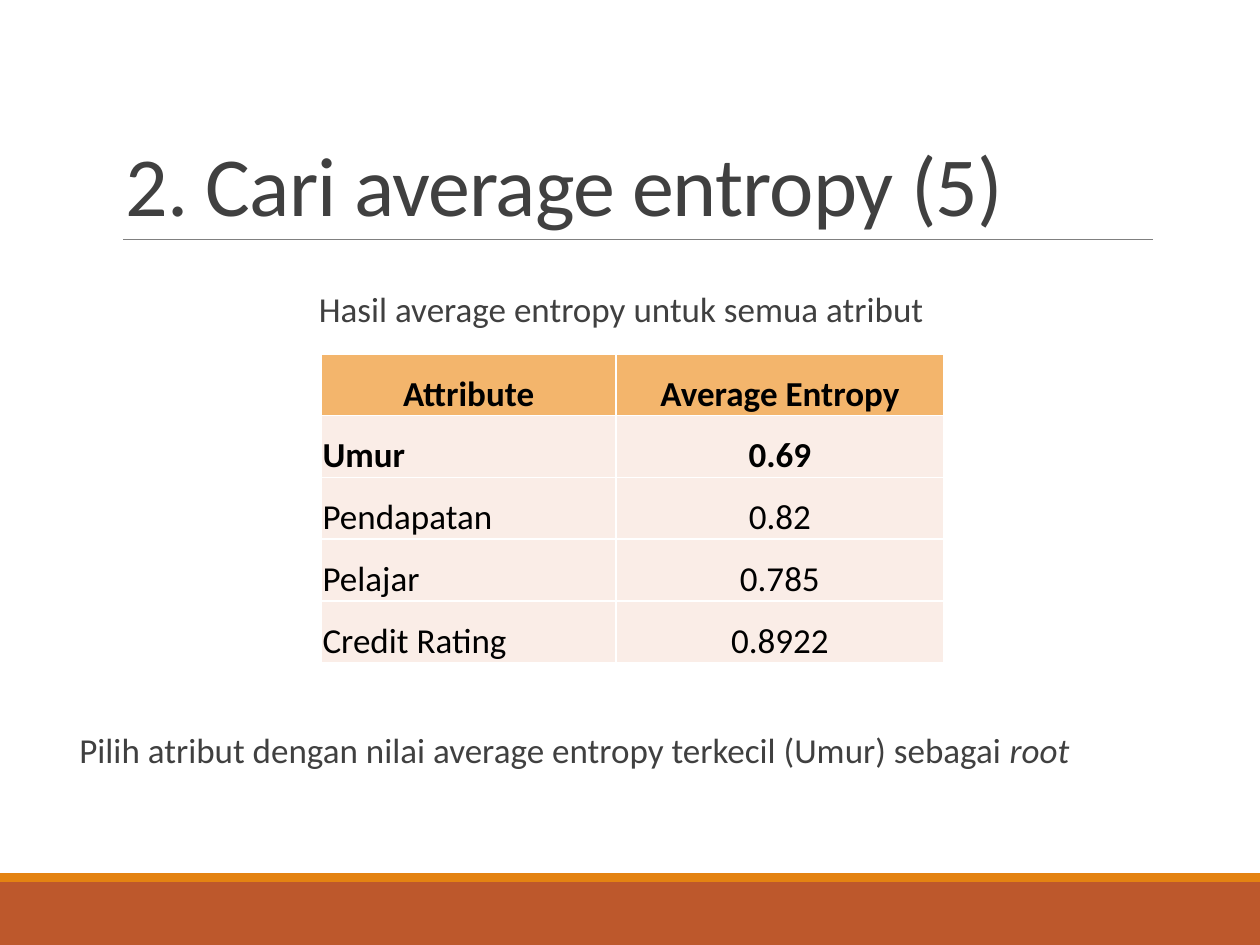
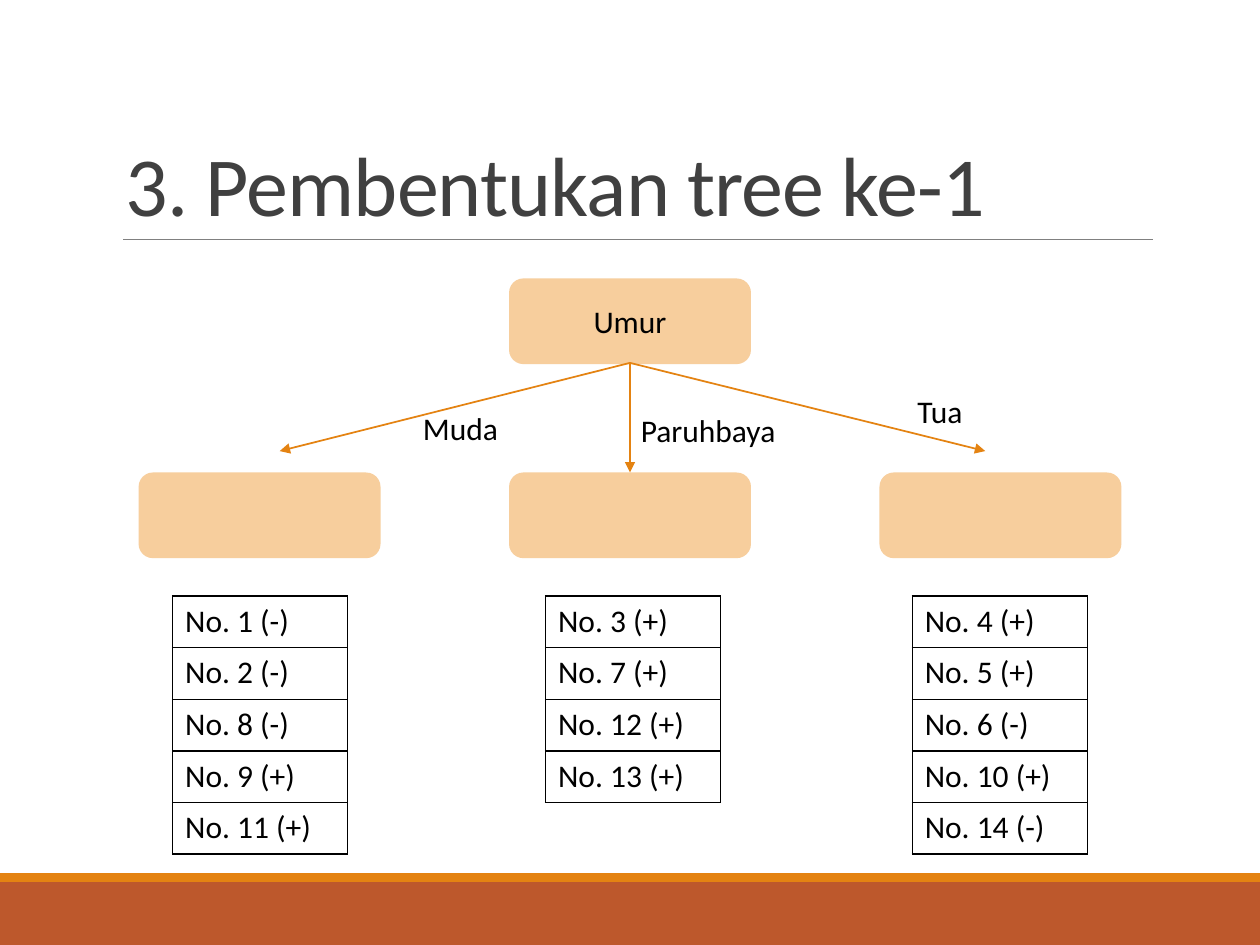
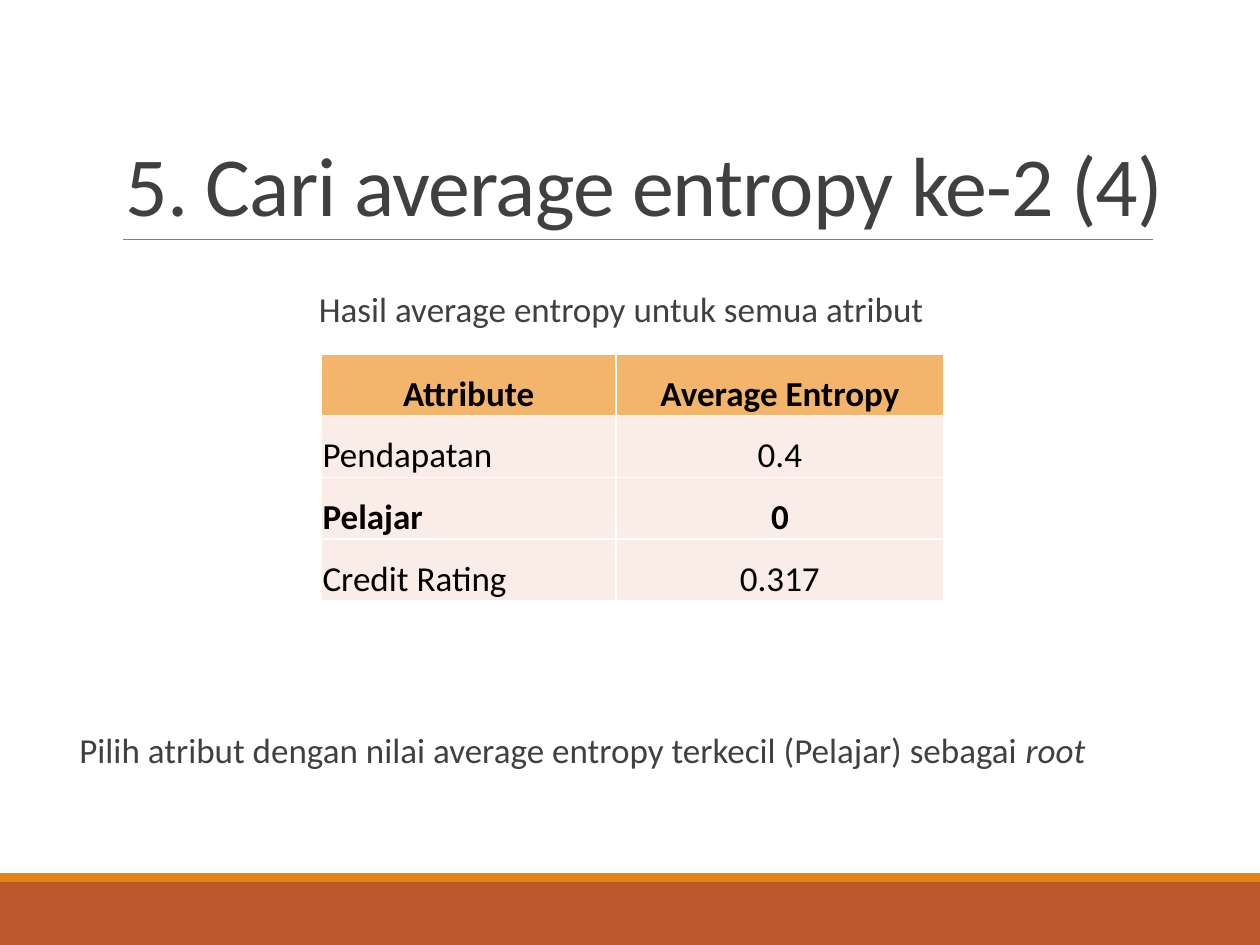
from lxml.etree import SubElement
from pptx import Presentation
from pptx.dml.color import RGBColor
from pptx.enum.shapes import MSO_CONNECTOR, MSO_SHAPE
from pptx.enum.text import MSO_ANCHOR as ANCHOR, PP_ALIGN as ALIGN
from pptx.oxml.ns import qn
from pptx.util import Inches, Pt

FONT = "Calibri"
WHITE = RGBColor(0xFF, 0xFF, 0xFF)
BLACK = RGBColor(0x00, 0x00, 0x00)
GRAY = RGBColor(0x40, 0x40, 0x40)
RULE = RGBColor(0x80, 0x80, 0x80)
RUST = RGBColor(0xBD, 0x58, 0x2C)
ORANGE = RGBColor(0xE4, 0x83, 0x12)
HEADER = RGBColor(0xF3, 0xB5, 0x6C)
ROW = RGBColor(0xFA, 0xED, 0xE7)
NODE = RGBColor(0xF7, 0xCE, 0x9D)

TITLE = {"size": Pt(48), "color": GRAY}
BODY = {"size": Pt(20), "color": GRAY}
CELL = {"size": Pt(20), "color": BLACK}
LABEL = {"size": Pt(18), "color": BLACK}
BODY_SPACING = {"line_spacing": 0.9, "space_before": Pt(12), "space_after": Pt(2)}
BODY_INSETS = {"margin_left": 0, "margin_right": 0}
CELL_INSETS = {"margin_left": Inches(0.01), "margin_right": Inches(0.01),
               "margin_top": Inches(0.01), "margin_bottom": 0}

CAPTION = "Hasil average entropy untuk semua atribut"
COLUMNS = ("Attribute", "Average Entropy")
ENTROPY_1 = {
    "title": "2. Cari average entropy (5)",
    "rows": [("Umur", "0.69"), ("Pendapatan", "0.82"),
             ("Pelajar", "0.785"), ("Credit Rating", "0.8922")],
    "root": "Umur",
}
ENTROPY_2 = {
    "title": "5. Cari average entropy ke-2 (4)",
    "rows": [("Pendapatan", "0.4"), ("Pelajar", "0"), ("Credit Rating", "0.317")],
    "root": "Pelajar",
    "title_width": 8.75,
}
TREE = {
    "title": "3. Pembentukan tree ke-1",
    "root": "Umur",
    "branches": [
        {"label": "Muda", "label_at": (3.25, 3.2, 0.81, 0.4), "tip": (2.22, 3.58),
         "list_left": 1.37,
         "cases": ["No. 1 (-)", "No. 2 (-)", "No. 8 (-)", "No. 9 (+)", "No. 11 (+)"]},
        {"label": "Paruhbaya", "label_at": (4.98, 3.21, 1.28, 0.4), "tip": (5, 3.75),
         "list_left": 4.33,
         "cases": ["No. 3 (+)", "No. 7 (+)", "No. 12 (+)", "No. 13 (+)"]},
        {"label": "Tua", "label_at": (7.18, 3.06, 0.56, 0.4), "tip": (7.82, 3.58),
         "list_left": 7.24,
         "cases": ["No. 4 (+)", "No. 5 (+)", "No. 6 (-)", "No. 10 (+)", "No. 14 (-)"]},
    ],
}
NODE_W, NODE_H, NODE_STEP = 1.92, 0.68, 2.94
NODE_LEFT, ROOT_TOP, LEAF_TOP, LIST_TOP = 1.1, 2.21, 3.75, 4.73


def assign(obj, values):
    for name, value in values.items():
        setattr(obj, name, value)


def add_run(p, text, style, **flags):
    r = p.add_run()
    r.text = text
    r.font.color.rgb = style["color"]
    assign(r.font, {"name": FONT, "size": style["size"], **flags})
    return r


def add_box(s, at, wrap=True, **frame):
    tf = s.shapes.add_textbox(*map(Inches, at)).text_frame
    assign(tf, {"word_wrap": wrap, **frame})
    return tf.paragraphs[0]


def add_block(s, kind, at, color):
    sp = s.shapes.add_shape(kind, *map(Inches, at))
    sp.shadow.inherit = False
    sp.fill.solid()
    sp.fill.fore_color.rgb = color
    sp.line.fill.background()
    return sp


def add_line(s, start, end, color, width, arrow=False):
    ends = map(Inches, (*start, *end))
    line = s.shapes.add_connector(MSO_CONNECTOR.STRAIGHT, *ends)
    line.line.color.rgb = color
    line.line.width = Pt(width)
    if arrow:
        SubElement(line.line._get_or_add_ln(), qn("a:tailEnd"), type="triangle")
    SubElement(line._element.spPr, qn("a:effectLst"))


def add_grid(s, left, top, widths, row_height, count, border):
    frame = s.shapes.add_table(count, len(widths), Inches(left), Inches(top),
                               Inches(sum(widths)), Inches(row_height * count))
    table = frame.table
    assign(table, {"first_row": False, "horz_banding": False})
    for column, width in zip(table.columns, widths):
        column.width = Inches(width)
    for row in table.rows:
        row.height = Inches(row_height)
    for cell in table.iter_cells():
        tc_pr = cell._tc.get_or_add_tcPr()
        for side in ("lnL", "lnR", "lnT", "lnB"):
            ln = SubElement(tc_pr, qn(f"a:{side}"), w=str(Pt(1)))
            fill = SubElement(ln, qn("a:solidFill"))
            SubElement(fill, qn("a:srgbClr"), val=str(border))
        cell.fill.background()
    return table


def start_slide(prs, title, title_width=8.25):
    s = prs.slides.add_slide(prs.slide_layouts[6])
    add_block(s, MSO_SHAPE.RECTANGLE, (0, 7, 10, 0.5), RUST)
    add_block(s, MSO_SHAPE.RECTANGLE, (0, 6.93, 10, 0.07), ORANGE)
    add_line(s, (0.98, 1.9), (9.15, 1.9), RULE, 0.5)
    p = add_box(s, (0.9, 0.31, title_width, 1.59), vertical_anchor=ANCHOR.BOTTOM)
    p.line_spacing = 0.85
    r = add_run(p, title, TITLE)
    r.font._element.set("spc", "-50")
    return s


def add_body(s, at):
    p = add_box(s, at, **BODY_INSETS)
    assign(p, BODY_SPACING)
    return p


def entropy_slide(prs, title, rows, root, title_width=8.25):
    s = start_slide(prs, title, title_width)
    add_run(add_body(s, (2.53, 2.27, 4.95, 0.5)), CAPTION, BODY)
    lines = [COLUMNS, *rows]
    table = add_grid(s, 2.55, 2.81, (2.34, 2.6), 0.49, len(lines), WHITE)
    for i, line in enumerate(lines):
        for j, text in enumerate(line):
            cell = table.cell(i, j)
            assign(cell, {"vertical_anchor": ANCHOR.BOTTOM, **CELL_INSETS})
            cell.fill.solid()
            cell.fill.fore_color.rgb = ROW if i else HEADER
            p = cell.text_frame.paragraphs[0]
            p.alignment = ALIGN.LEFT if i and j == 0 else ALIGN.CENTER
            add_run(p, text, CELL, bold=i == 0 or line[0] == root)
    p = add_body(s, (0.63, 5.77, 8.25, 0.5))
    add_run(p, f"Pilih atribut dengan nilai average entropy terkecil ({root}) sebagai ", BODY)
    add_run(p, "root", BODY, italic=True)


def add_node(s, column, top):
    at = (NODE_LEFT + column * NODE_STEP, top, NODE_W, NODE_H)
    return add_block(s, MSO_SHAPE.ROUNDED_RECTANGLE, at, NODE)


def tree_slide(prs, title, root, branches):
    s = start_slide(prs, title)
    tf = add_node(s, 1, ROOT_TOP).text_frame
    tf.vertical_anchor = ANCHOR.MIDDLE
    tf.paragraphs[0].alignment = ALIGN.CENTER
    add_run(tf.paragraphs[0], root, LABEL)
    for column, branch in enumerate(branches):
        add_node(s, column, LEAF_TOP)
        add_line(s, (5, 2.88), branch["tip"], ORANGE, 1, arrow=True)
        cases = branch["cases"]
        table = add_grid(s, branch["list_left"], LIST_TOP, (1.39,), 0.41, len(cases), BLACK)
        for cell, case in zip(table.iter_cells(), cases):
            add_run(cell.text_frame.paragraphs[0], case, LABEL)
        p = add_box(s, branch["label_at"], wrap=False)
        p.alignment = ALIGN.CENTER
        add_run(p, branch["label"], LABEL)


def main():
    prs = Presentation()
    prs.slide_width, prs.slide_height = Inches(10), Inches(7.5)
    entropy_slide(prs, **ENTROPY_1)
    tree_slide(prs, **TREE)
    entropy_slide(prs, **ENTROPY_2)
    prs.save("out.pptx")


if __name__ == "__main__":
    main()
